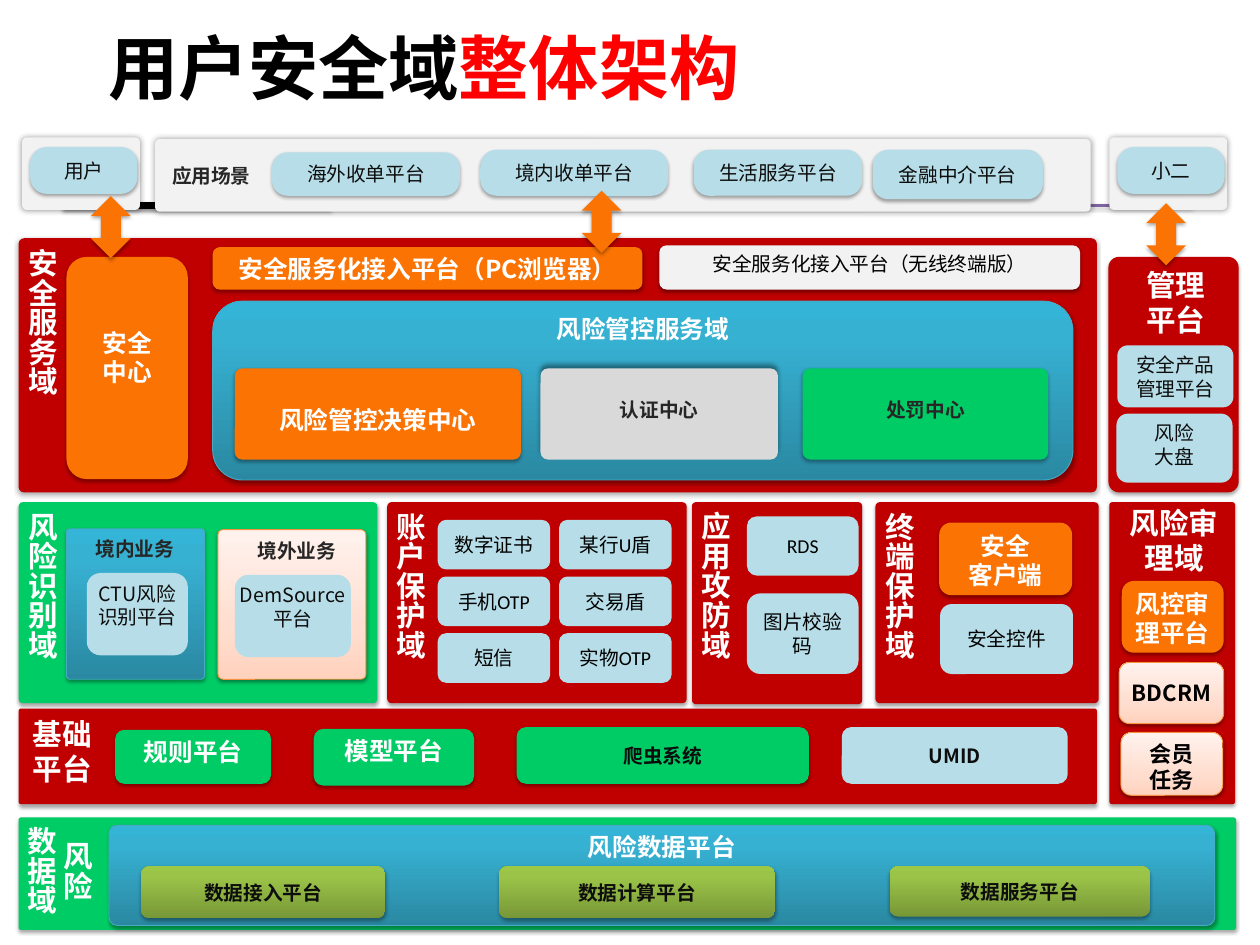
from dataclasses import dataclass, replace

from lxml import etree
from pptx import Presentation
from pptx.dml.color import RGBColor
from pptx.enum.shapes import MSO_CONNECTOR, MSO_SHAPE
from pptx.enum.text import MSO_ANCHOR, PP_ALIGN
from pptx.oxml.ns import qn
from pptx.util import Inches, Pt

ROUNDED = MSO_SHAPE.ROUNDED_RECTANGLE
DOUBLE_ARROW = MSO_SHAPE.LEFT_RIGHT_ARROW
STRAIGHT = MSO_CONNECTOR.STRAIGHT
TOP, MIDDLE, BOTTOM = MSO_ANCHOR.TOP, MSO_ANCHOR.MIDDLE, MSO_ANCHOR.BOTTOM
LEFT, CENTER = PP_ALIGN.LEFT, PP_ALIGN.CENTER


@dataclass(frozen=True)
class Shadow:
    opacity: int
    blur: float
    distance: float
    direction: int


@dataclass(frozen=True)
class Theme:
    red: str = "C00000"
    title_red: str = "FF0000"
    green: str = "00CC66"
    orange: str = "FB7303"
    pale_blue: str = "B7DEE8"
    pale_grey: str = "F2F2F2"
    grey: str = "D9D9D9"
    white: str = "FFFFFF"
    black: str = "000000"
    ink: str = "0D0D0D"
    charcoal: str = "262626"
    purple: str = "8064A2"
    blue_line: str = "46AAC5"
    orange_line: str = "F69240"
    blue: tuple = ((0, "2A88A2"), (80, "37B1D2"), (100, "34B4D6"))
    olive: tuple = ((0, "779737"), (80, "9BC348"), (100, "9DC746"))
    peach: tuple = ((0, "FFD2BD"), (35, "FFDED0"), (100, "FFF2ED"))
    title: int = 57
    domain: int = 24
    heading: int = 20
    task: int = 18
    body: int = 16
    chinese: str = "Noto Sans CJK SC"
    latin: str = "Calibri"


THEME = Theme()
DROP = Shadow(35, 3.1, 1.8, 90)
SOFT = Shadow(38, 3.1, 1.6, 90)
GLOW = Shadow(40, 5, 0, 0)
LIFT = Shadow(40, 4, 3, 270)


@dataclass(frozen=True)
class Style:
    fill: str | tuple | None = None
    color: str = THEME.ink
    size: int = THEME.body
    bold: bool = False
    font: str = THEME.chinese
    shadow: Shadow | None = None
    line: str | None = None
    anchor: MSO_ANCHOR = TOP
    align: PP_ALIGN = CENTER
    side: float = 0.1
    top: float = 0.05
    vertical: bool = False


@dataclass(frozen=True)
class Box:
    left: float
    top: float
    width: float
    height: float
    style: Style
    text: str = ""
    corner: float = 0.167


DOMAIN_LABEL = Style(color=THEME.white, size=THEME.domain, bold=True)
RED = replace(DOMAIN_LABEL, fill=THEME.red, shadow=DROP, anchor=BOTTOM, vertical=True)
GREEN = replace(RED, fill=THEME.green)
BLUE = Style(THEME.blue, THEME.white, THEME.heading, True, shadow=DROP,
             line=THEME.blue_line, side=0.04)
ORANGE = replace(BLUE, fill=THEME.orange, line=None)
GREEN_HEADING = replace(ORANGE, fill=THEME.green)
SCENE = Style(THEME.pale_grey, shadow=GLOW)
PILL = Style(THEME.pale_blue, shadow=DROP, anchor=MIDDLE)
TILE = Style(THEME.pale_blue, THEME.black, font=THEME.latin, anchor=MIDDLE)
PRODUCT = Style(THEME.pale_blue, side=0)
SYSTEM = replace(PRODUCT, bold=True, anchor=MIDDLE)
OLIVE = Style(THEME.olive, bold=True, font=THEME.latin, shadow=DROP, anchor=MIDDLE)
PEACH = Style(THEME.peach, THEME.black, THEME.task, True, shadow=SOFT,
              line=THEME.orange_line, side=0.04)
CAPTION = Style(color=THEME.charcoal, bold=True)
CENTRE = replace(CAPTION, fill=THEME.green, shadow=DROP, top=0.31)
WIRELESS = Style(THEME.pale_grey, THEME.black, shadow=SOFT, side=0.04)

TOKEN_ROWS = (("数字证书", "某行U盾"), ("手机OTP", "交易盾"), ("短信", "实物OTP"))
TOKENS = [Box(4.94 + 1.37 * column, 5.87 + 0.64 * row, 1.27, 0.56, TILE, name)
          for row, names in enumerate(TOKEN_ROWS) for column, name in enumerate(names)]

BOXES = [
    Box(4.37, 5.67, 3.38, 2.27, RED, "账户保护域", 0.022),
    Box(0.21, 9.23, 13.74, 1.27, GREEN, "风险\n数据域", 0.022),
    Box(0.21, 5.67, 4.05, 2.27, GREEN, "风险识别域", 0.022),
    Box(0.21, 2.69, 12.17, 2.87, RED, "安全服务域", 0.022),
    Box(7.81, 5.67, 1.92, 2.28, RED, "应用攻防域", 0.022),
    Box(9.88, 5.67, 2.52, 2.27, RED, "终端保护域", 0.022),
    Box(0.21, 8, 12.17, 1.08, RED, corner=0.026),
    Box(12.51, 2.9, 1.47, 2.66, RED, corner=0.082),
    Box(12.52, 5.67, 1.42, 3.41, RED, corner=0.022),
    Box(1.75, 1.57, 10.56, 0.82, SCENE, corner=0.064),
    Box(0.25, 1.55, 1.33, 0.82, SCENE, corner=0.064),
    Box(12.52, 1.55, 1.33, 0.82, SCENE, corner=0.064),
    Box(0.34, 1.66, 1.21, 0.53, PILL, "用户", 0.355),
    Box(1.77, 1.8, 1.23, 0.37, CAPTION, "应用场景"),
    Box(3.07, 1.72, 2.12, 0.49, PILL, "海外收单平台", 0.355),
    Box(5.42, 1.69, 2.12, 0.52, PILL, "境内收单平台", 0.355),
    Box(7.83, 1.69, 1.9, 0.52, PILL, "生活服务平台", 0.334),
    Box(9.85, 1.69, 1.92, 0.56, PILL, "金融中介平台", 0.313),
    Box(12.61, 1.66, 1.21, 0.53, PILL, "小二", 0.355),
    Box(0.75, 2.9, 1.37, 2.51, replace(ORANGE, top=0.73), "安全\n中心"),
    Box(2.4, 2.79, 4.85, 0.48, ORANGE, "安全服务化接入平台（PC浏览器）"),
    Box(7.44, 2.77, 4.75, 0.5, WIRELESS, "安全服务化接入平台（无线终端版）"),
    Box(2.4, 3.4, 9.71, 2.02, BLUE, "风险管控服务域"),
    Box(2.65, 4.16, 3.23, 1.03, replace(ORANGE, top=0.39), "风险管控决策中心", 0.082),
    Box(6.1, 4.16, 2.68, 1.03, replace(CENTRE, fill=THEME.grey, shadow=LIFT), "认证中心", 0.082),
    Box(9.06, 4.16, 2.77, 1.03, CENTRE, "处罚中心", 0.082),
    Box(12.62, 2.96, 1.3, 0.91, DOMAIN_LABEL, "管理\n平台"),
    Box(12.61, 3.9, 1.31, 0.7, PRODUCT, "安全产品\n管理平台"),
    Box(12.6, 4.67, 1.31, 0.78, PRODUCT, "风险\n大盘"),
    Box(0.75, 5.97, 1.56, 1.7, BLUE, corner=0.026),
    Box(0.98, 6.01, 1.14, 0.37, replace(CAPTION, align=LEFT), "境内业务"),
    Box(0.98, 6.47, 1.14, 0.93, PRODUCT, "CTU风险识别平台"),
    Box(2.46, 5.98, 1.67, 1.69, PEACH, corner=0.035),
    Box(2.51, 6.03, 1.68, 0.37, CAPTION, "境外业务"),
    Box(2.65, 6.49, 1.31, 0.93, PRODUCT, "DemSource平台"),
    *TOKENS,
    Box(8.43, 5.83, 1.26, 0.67, TILE, "RDS"),
    Box(8.43, 6.7, 1.26, 0.91, TILE, "图片校验码"),
    Box(10.6, 5.9, 1.5, 0.82, ORANGE, "安全\n客户端"),
    Box(10.61, 6.82, 1.5, 0.79, TILE, "安全控件"),
    Box(12.6, 5.65, 1.3, 0.91, DOMAIN_LABEL, "风险审理域"),
    Box(12.66, 6.56, 1.15, 0.81, ORANGE, "风控审理平台"),
    Box(12.63, 7.48, 1.18, 0.69, replace(PEACH, anchor=MIDDLE), "BDCRM"),
    Box(12.65, 8.27, 1.15, 0.71, PEACH, "会员\n任务"),
    Box(0.27, 8.03, 0.92, 0.91, replace(DOMAIN_LABEL, align=LEFT), "基础平台"),
    Box(1.3, 8.24, 1.76, 0.61, GREEN_HEADING, "规则平台"),
    Box(3.54, 8.23, 1.81, 0.64, GREEN_HEADING, "模型平台"),
    Box(5.83, 8.21, 3.3, 0.64, replace(SYSTEM, fill=THEME.green, shadow=DROP), "爬虫系统"),
    Box(9.5, 8.21, 2.55, 0.64, SYSTEM, "UMID"),
    Box(1.23, 9.32, 12.48, 1.13, BLUE, "风险数据平台", 0.082),
    Box(1.59, 9.78, 2.76, 0.59, OLIVE, "数据接入平台"),
    Box(5.63, 9.78, 3.12, 0.59, OLIVE, "数据计算平台"),
    Box(10.04, 9.78, 2.94, 0.57, OLIVE, "数据服务平台"),
]
ARROWS = ((6.44, 2.28), (0.9, 2.34), (12.81, 2.42))
RULES = ((13.44, THEME.purple, 2, SOFT), (3.74, THEME.black, 6, DROP))


def set_shadow(shape, shadow: Shadow | None) -> None:
    properties = shape._element.spPr
    for old in properties.findall(qn("a:effectLst")):
        properties.remove(old)
    effects = etree.SubElement(properties, qn("a:effectLst"))
    if shadow:
        outer = etree.SubElement(effects, qn("a:outerShdw"), blurRad=str(Pt(shadow.blur)),
                                 dist=str(Pt(shadow.distance)), dir=str(shadow.direction * 60000),
                                 algn="ctr", rotWithShape="0")
        color = etree.SubElement(outer, qn("a:srgbClr"), val=THEME.black)
        etree.SubElement(color, qn("a:alpha"), val=str(shadow.opacity * 1000))


def set_fill(shape, fill: str | tuple) -> None:
    if isinstance(fill, str):
        shape.fill.solid()
        shape.fill.fore_color.rgb = RGBColor.from_string(fill)
        return
    shape.fill.gradient()
    shape.fill.gradient_angle = 90
    stops = shape._element.spPr.find(qn("a:gradFill")).find(qn("a:gsLst"))
    for old in list(stops):
        stops.remove(old)
    for position, color in fill:
        stop = etree.SubElement(stops, qn("a:gs"), pos=str(position * 1000))
        etree.SubElement(stop, qn("a:srgbClr"), val=color)


def set_font(font, size: int, color: str, bold: bool, name: str) -> None:
    font.size, font.bold, font.name = Pt(size), bold, name
    font.color.rgb = RGBColor.from_string(color)
    east_asian = etree.Element(qn("a:ea"), typeface=THEME.chinese)
    font._element.find(qn("a:latin")).addnext(east_asian)


def write_text(frame, text: str, style: Style) -> None:
    frame.word_wrap = True
    frame.vertical_anchor = style.anchor
    frame.margin_left = frame.margin_right = Inches(style.side)
    frame.margin_top, frame.margin_bottom = Inches(style.top), Inches(0.05)
    if style.vertical:
        frame._txBody.bodyPr.set("vert", "eaVert")
    frame.text = text
    for paragraph in frame.paragraphs:
        paragraph.alignment = style.align
        set_font(paragraph.font, style.size, style.color, style.bold, style.font)


def draw_box(slide, box: Box) -> None:
    place = [Inches(n) for n in (box.left, box.top, box.width, box.height)]
    style = box.style
    if style.fill is None:
        shape = slide.shapes.add_textbox(*place)
    else:
        shape = slide.shapes.add_shape(ROUNDED, *place)
        shape.adjustments[0] = box.corner
        set_fill(shape, style.fill)
        if style.line:
            shape.line.color.rgb = RGBColor.from_string(style.line)
            shape.line.width = Pt(0.75)
        else:
            shape.line.fill.background()
        set_shadow(shape, style.shadow)
    if box.text:
        write_text(shape.text_frame, box.text, style)


def draw_arrow(slide, left: float, top: float) -> None:
    arrow = slide.shapes.add_shape(DOUBLE_ARROW, Inches(left), Inches(top), Inches(0.7), Inches(0.45))
    arrow.rotation = 90
    set_fill(arrow, THEME.orange)
    arrow.line.fill.background()
    set_shadow(arrow, DROP)


def draw_rule(slide, end: float, color: str, width: float, shadow: Shadow) -> None:
    rule = slide.shapes.add_connector(STRAIGHT, Inches(0.71), Inches(2.32), Inches(end), Inches(2.32))
    rule.line.color.rgb = RGBColor.from_string(color)
    rule.line.width = Pt(width)
    set_shadow(rule, shadow)


def write_title(title) -> None:
    title.left, title.top, title.width, title.height = (Inches(n) for n in (1.03, 0.18, 11.43, 1.15))
    frame = title.text_frame
    frame.vertical_anchor = MIDDLE
    frame.margin_left = frame.margin_right = Inches(0.19)
    paragraph = frame.paragraphs[0]
    paragraph.alignment = LEFT
    for text, color in (("用户安全域", THEME.black), ("整体架构", THEME.title_red)):
        run = paragraph.add_run()
        run.text = text
        set_font(run.font, THEME.title, color, True, THEME.chinese)


def main() -> None:
    presentation = Presentation()
    presentation.slide_width, presentation.slide_height = Inches(14.22), Inches(10.67)
    slide = presentation.slides.add_slide(presentation.slide_layouts[5])
    write_title(slide.shapes.title)
    for rule in RULES:
        draw_rule(slide, *rule)
    for box in BOXES:
        draw_box(slide, box)
    for arrow in ARROWS:
        draw_arrow(slide, *arrow)
    presentation.save("out.pptx")


if __name__ == "__main__":
    main()
